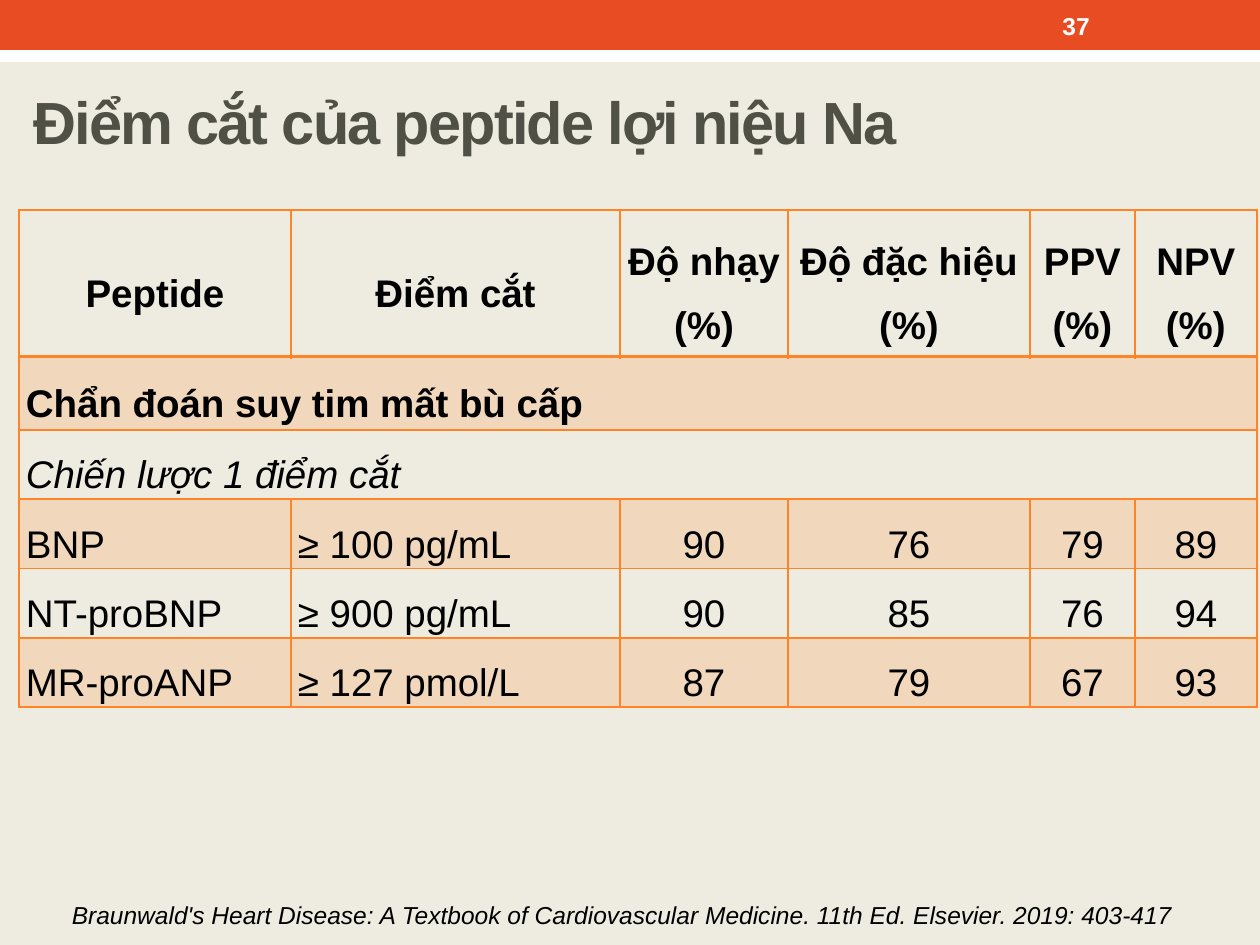
import pptx
import pptx.util
import pptx.dml.color
import pptx.enum.shapes
import pptx.enum.text
import pptx.oxml
import pptx.oxml.ns

# Content
PAGE_NUMBER = "37"
TITLE = "Điểm cắt của peptide lợi niệu Na"
SOURCE = ("Braunwald's Heart Disease: A Textbook of Cardiovascular Medicine. "
          "11th Ed. Elsevier. 2019: 403-417")
ROWS = [
    ["Peptide", "Điểm cắt", "Độ nhạy\n(%)", "Độ đặc hiệu (%)", "PPV\n(%)", "NPV\n(%)"],
    ["Chẩn đoán suy tim mất bù cấp"],
    ["Chiến lược 1 điểm cắt"],
    ["BNP", "≥ 100 pg/mL", "90", "76", "79", "89"],
    ["NT-proBNP", "≥ 900 pg/mL", "90", "85", "76", "94"],
    ["MR-proANP", "≥ 127 pmol/L", "87", "79", "67", "93"],
]
HEADER, SECTION, STRATEGY = 0, 1, 2
SHADED_ROWS = {1, 3, 5}
COLUMN_WIDTHS = [272, 329, 168, 242, 105, 122]
ROW_HEIGHTS = [147, 73, 65, 64, 65, 69]
COLORS = {"background": "EEECE1", "white": "FFFFFF", "band": "E84C22",
          "title": "505046", "black": "000000", "accent": "FF8427"}
FONT = "Arial"
ALIGN = pptx.enum.text.PP_ALIGN
MIDDLE = pptx.enum.text.MSO_ANCHOR.MIDDLE


def px(count):
    return pptx.util.Emu(round(count * 914400 / 126))


def color(name):
    return pptx.dml.color.RGBColor.from_string(COLORS[name])


def style(para, size, tint, bold=False, italic=False, align=None, spacing=None):
    para.alignment = align
    para.line_spacing = spacing
    font = para.font
    font.name, font.size = FONT, pptx.util.Pt(size)
    font.bold, font.italic = bold, italic
    font.color.rgb = color(tint)


def add_band(page, top, height, tint):
    band = page.shapes.add_shape(
        pptx.enum.shapes.MSO_SHAPE.RECTANGLE, 0, px(top), px(1260), px(height))
    band.shadow.inherit = False
    band.fill.solid()
    band.fill.fore_color.rgb = color(tint)
    band.line.fill.background()


def add_text(page, area, text, anchor, **look):
    box = page.shapes.add_textbox(*map(px, area))
    frame = box.text_frame
    frame.word_wrap = True
    frame.vertical_anchor = anchor
    para = frame.paragraphs[0]
    para.add_run().text = text
    style(para, **look)
    return para


def set_borders(cell, top, bottom):
    widths = {"lnL": 1, "lnR": 1, "lnT": top, "lnB": bottom}
    properties = cell._tc.get_or_add_tcPr()
    for index, (side, points) in enumerate(widths.items()):
        properties.insert(index, pptx.oxml.parse_xml(
            f'<a:{side} {pptx.oxml.ns.nsdecls("a")} w="{pptx.util.Pt(points)}">'
            f'<a:solidFill><a:srgbClr val="{COLORS["accent"]}"/></a:solidFill></a:{side}>'))


def set_fill(cell, shaded):
    if not shaded:
        cell.fill.background()
        return
    cell.fill.solid()
    cell.fill.fore_color.rgb = color("accent")
    tint = cell._tc.tcPr.find(".//" + pptx.oxml.ns.qn("a:srgbClr"))
    tint.append(pptx.oxml.parse_xml(
        f'<a:alpha {pptx.oxml.ns.nsdecls("a")} val="20000"/>'))


def cell_alignment(row, column):
    if row == HEADER or column >= 2:
        return ALIGN.CENTER
    return ALIGN.LEFT if row in (SECTION, STRATEGY) else ALIGN.JUSTIFY


def add_cutoff_table(page):
    table = page.shapes.add_table(
        len(ROWS), len(COLUMN_WIDTHS), px(19), px(210),
        px(sum(COLUMN_WIDTHS)), px(sum(ROW_HEIGHTS))).table
    table.first_row = table.horz_banding = False
    for column, width in zip(table.columns, COLUMN_WIDTHS):
        column.width = px(width)
    for row, height in zip(table.rows, ROW_HEIGHTS):
        row.height = px(height)

    for row, texts in enumerate(ROWS):
        for column in range(len(COLUMN_WIDTHS)):
            cell = table.cell(row, column)
            set_fill(cell, row in SHADED_ROWS)
            set_borders(cell, 2 if row == SECTION else 1, 2 if row == HEADER else 1)
            cell.vertical_anchor = MIDDLE
            narrow = row == HEADER and column in (2, 3)
            cell.margin_left = cell.margin_right = px(2 if narrow else 7)
            cell.margin_top = cell.margin_bottom = 0
            if column < len(texts):
                cell.text = texts[column]
            for para in cell.text_frame.paragraphs:
                style(para, 22, "black", bold=row in (HEADER, SECTION),
                      italic=row == STRATEGY, align=cell_alignment(row, column),
                      spacing=1.5)
        if len(texts) == 1:
            table.cell(row, 0).merge(table.cell(row, len(COLUMN_WIDTHS) - 1))


def main():
    deck = pptx.Presentation()
    deck.slide_width, deck.slide_height = px(1260), px(945)
    page = deck.slides.add_slide(deck.slide_layouts[6])
    page.background.fill.solid()
    page.background.fill.fore_color.rgb = color("background")

    # Top bands and page number
    add_band(page, 30, 32, "white")
    add_band(page, 0, 50, "band")
    add_text(page, (1050, 3, 147, 45), PAGE_NUMBER, MIDDLE,
             size=14, tint="white", bold=True)

    # Title with tightened letters
    title = add_text(page, (21, 53, 1176, 136), TITLE, MIDDLE,
                     size=34, tint="title", bold=True)
    title.runs[0].font._element.set("spc", "-100")

    # Cut-off table and its source
    add_cutoff_table(page)
    add_text(page, (38, 892, 1169, 44), SOURCE, pptx.enum.text.MSO_ANCHOR.TOP,
             size=14, tint="black", italic=True, align=ALIGN.CENTER, spacing=1.07)

    deck.save("out.pptx")


if __name__ == "__main__":
    main()
